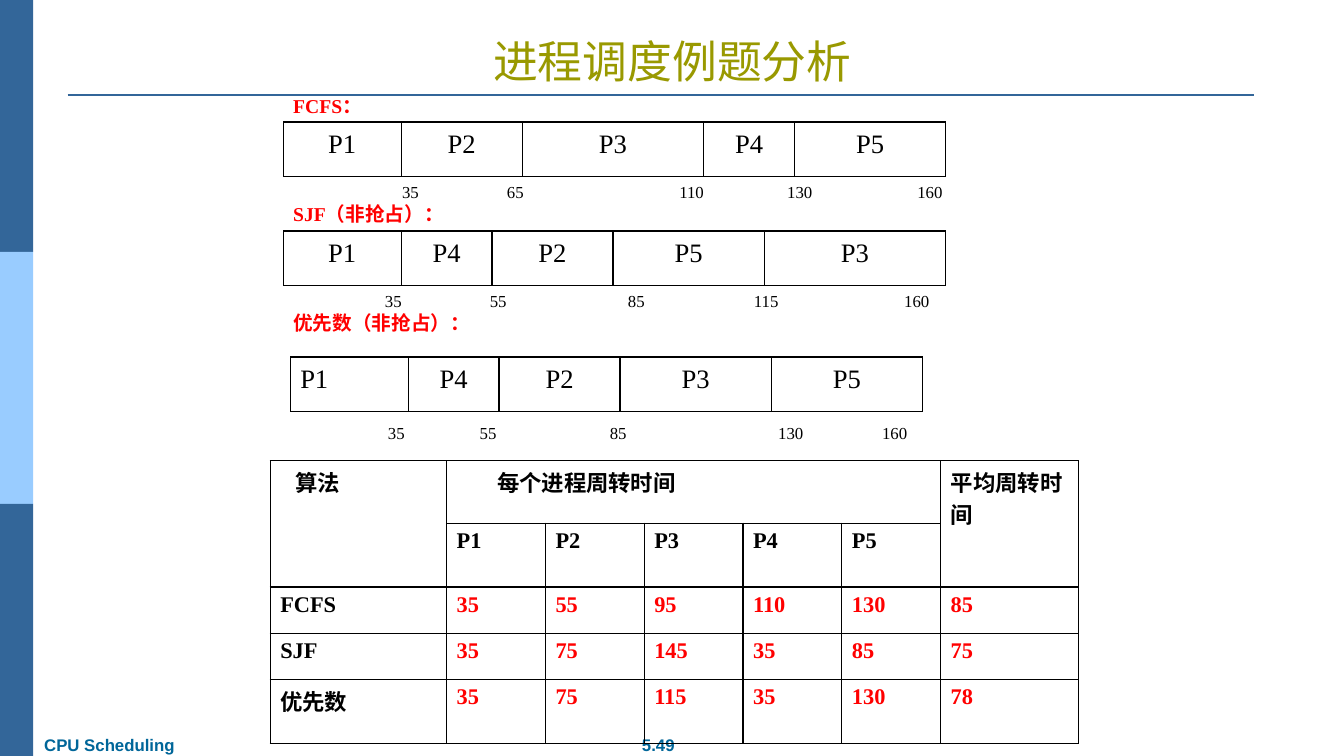
from dataclasses import dataclass
from itertools import accumulate

from lxml.etree import SubElement
from pptx import Presentation
from pptx.dml.color import RGBColor
from pptx.enum.shapes import MSO_CONNECTOR as CONN, MSO_SHAPE as SHAPE
from pptx.enum.text import MSO_ANCHOR as ANCHOR, PP_ALIGN as ALIGN
from pptx.oxml.ns import qn
from pptx.util import Inches, Length, Pt


@dataclass(frozen=True)
class Theme:
    serif: str = "Times New Roman"
    sans: str = "Arial"
    black: str = "000000"
    red: str = "FF0000"
    title: str = "999900"
    footer: str = "006699"
    dark: str = "336699"
    light: str = "99CCFF"
    title_size: int = 32
    process_size: int = 19
    table_size: int = 16
    label_size: int = 14
    small_size: int = 12


@dataclass(frozen=True)
class Gantt:
    left: float
    top: float
    processes: tuple[tuple[str, float], ...]
    ticks: tuple[tuple[int, float], ...]
    tick_top: float
    tick_width: float
    tick_height: float
    next_label: str = ""
    first_align: ALIGN = ALIGN.CENTER


T = Theme()
CELL = 0.1
BAR_ROWS = 5.4

CHARTS = (
    Gantt(28.1, 12.1, (("P1", 11.7), ("P2", 12), ("P3", 18), ("P4", 9), ("P5", 15)),
          ((35, 10.8), (65, 21.2), (110, 38.3), (130, 49), (160, 61.9)),
          17.5, 68.4, 5.4, "SJF（非抢占）："),
    Gantt(28.1, 22.9, (("P1", 11.7), ("P4", 9), ("P2", 12), ("P5", 15), ("P3", 18)),
          ((35, 9.1), (55, 19.5), (85, 33.2), (115, 45.7), (160, 60.6)),
          28.3, 65.6, 5.4, "优先数（非抢占）："),
    Gantt(28.8, 35.4, (("P1", 11.7), ("P4", 9), ("P2", 12), ("P3", 15), ("P5", 15)),
          ((35, 8.7), (55, 17.8), (85, 30.7), (130, 47.4), (160, 57.7)),
          41.4, 62.6, 3, first_align=ALIGN.LEFT),
)

TABLE_COLS = (17.5, 9.8, 9.8, 9.8, 9.8, 9.8, 13.7)
TABLE_ROWS = (6.2, 6.3, 4.6, 4.6, 6.3)
TABLE_TEXT = (
    ("算法", "每个进程周转时间", "", "", "", "", "平均周转时间"),
    ("", "P1", "P2", "P3", "P4", "P5", ""),
    ("FCFS", "35", "55", "95", "110", "130", "85"),
    ("SJF", "35", "75", "145", "35", "85", "75"),
    ("优先数", "35", "75", "115", "35", "130", "78"),
)
TABLE_INDENTS = {(0, 0): 1.5, (0, 1): 4}
TABLE_MERGES = (((0, 0), (1, 0)), ((0, 1), (0, 5)), ((0, 6), (1, 6)))


def grid(n: float) -> Length:
    return Inches(round(n * CELL, 3))


def rgb(color: str) -> RGBColor:
    return RGBColor.from_string(color)


def write(p, text: str, *, size: int, color: str = T.black, font: str = T.serif,
          bold: bool = False, align: ALIGN = ALIGN.LEFT) -> None:
    p.alignment = align
    r = p.add_run()
    r.text = text
    r.font.name, r.font.size, r.font.bold = font, Pt(size), bold
    r.font.color.rgb = rgb(color)


def add_box(slide, x: float, y: float, w: float, h: float,
            anchor: ANCHOR = ANCHOR.TOP):
    tf = slide.shapes.add_textbox(grid(x), grid(y), grid(w), grid(h)).text_frame
    tf.word_wrap = True
    tf.vertical_anchor = anchor
    return tf


def add_line(slide, x1: float, y1: float, x2: float, y2: float,
             color: str = T.black, width: float = 1) -> None:
    line = slide.shapes.add_connector(CONN.STRAIGHT, grid(x1), grid(y1), grid(x2), grid(y2))
    line.line.color.rgb = rgb(color)
    line.line.width = Pt(width)
    SubElement(line._element.spPr, qn("a:effectLst"))


def add_frame(slide) -> None:
    for i, color in enumerate((T.dark, T.light, T.dark)):
        sp = slide.shapes.add_shape(SHAPE.RECTANGLE, 0, grid(25 * i), grid(3.3), grid(25))
        sp.shadow.inherit = False
        sp.fill.solid()
        sp.fill.fore_color.rgb = rgb(color)
        sp.line.fill.background()
    add_line(slide, 6.7, 9.4, 124.4, 9.4, T.dark, 1.5)
    for text, x, w, align in (("5.49", 62, 6.6, ALIGN.CENTER),
                              ("CPU Scheduling", 3.4, 16.4, ALIGN.LEFT)):
        write(add_box(slide, x, 72.4, w, 3).paragraphs[0], text, size=T.small_size,
              color=T.footer, font=T.sans, bold=True, align=align)


def add_title(slide, text: str) -> None:
    sp = slide.shapes.title
    sp.left, sp.top, sp.width, sp.height = grid(6.7), grid(3), grid(120), grid(6.3)
    tf = sp.text_frame
    tf.vertical_anchor = ANCHOR.BOTTOM
    tf.margin_left = tf.margin_right = grid(1.2)
    tf.margin_top = tf.margin_bottom = grid(0.6)
    write(tf.paragraphs[0], text, size=T.title_size, color=T.title, align=ALIGN.CENTER)


def add_ticks(slide, chart: Gantt) -> None:
    tf = add_box(slide, chart.left, chart.tick_top, chart.tick_width,
                 chart.tick_height, ANCHOR.MIDDLE)
    p = tf.paragraphs[0]
    write(p, "".join(f"\t{time}" for time, _ in chart.ticks), size=T.small_size)
    tabs = SubElement(p._p.get_or_add_pPr(), qn("a:tabLst"))
    for _, x in chart.ticks:
        SubElement(tabs, qn("a:tab"), pos=str(grid(x)), algn="l")
    if chart.next_label:
        write(tf.add_paragraph(), chart.next_label, size=T.label_size,
              color=T.red, bold=True)


def add_gantt(slide, chart: Gantt) -> None:
    bottom = chart.top + BAR_ROWS
    edges = list(accumulate((w for _, w in chart.processes), initial=chart.left))
    for i, (name, width) in enumerate(chart.processes):
        tf = add_box(slide, edges[i], chart.top, width, BAR_ROWS)
        write(tf.paragraphs[0], name, size=T.process_size,
              align=ALIGN.CENTER if i else chart.first_align)
    for y in (chart.top, bottom):
        add_line(slide, edges[0], y, edges[-1], y)
    for x in edges:
        add_line(slide, x, chart.top, x, bottom)
    add_ticks(slide, chart)


def style_cell(cell) -> None:
    tcPr = cell._tc.get_or_add_tcPr()
    for side in ("lnL", "lnR", "lnT", "lnB"):
        ln = SubElement(tcPr, qn(f"a:{side}"), w=str(Pt(1)))
        SubElement(SubElement(ln, qn("a:solidFill")), qn("a:srgbClr"), val=T.black)
    cell.fill.background()


def add_turnaround_table(slide) -> None:
    table = slide.shapes.add_table(len(TABLE_ROWS), len(TABLE_COLS), grid(26.8), grid(45.7),
                                   grid(sum(TABLE_COLS)), grid(sum(TABLE_ROWS))).table
    table.first_row = table.horz_banding = False
    for column, width in zip(table.columns, TABLE_COLS):
        column.width = grid(width)
    for row, height in zip(table.rows, TABLE_ROWS):
        row.height = grid(height)
    for i, texts in enumerate(TABLE_TEXT):
        for j, text in enumerate(texts):
            cell = table.cell(i, j)
            style_cell(cell)
            p = cell.text_frame.paragraphs[0]
            if text:
                write(p, text, size=T.table_size, bold=True,
                      color=T.red if i > 1 and j else T.black)
            if (i, j) in TABLE_INDENTS:
                p._p.get_or_add_pPr().set("indent", str(grid(TABLE_INDENTS[i, j])))
    for start, end in TABLE_MERGES:
        table.cell(*start).merge(table.cell(*end))


def main() -> None:
    prs = Presentation()
    prs.slide_width, prs.slide_height = Inches(13.33), Inches(7.5)
    slide = prs.slides.add_slide(prs.slide_layouts[5])
    add_frame(slide)
    add_title(slide, "进程调度例题分析")
    write(add_box(slide, 28.1, 8.8, 12, 3.4, ANCHOR.MIDDLE).paragraphs[0], "FCFS：",
          size=T.label_size, color=T.red, bold=True)
    for chart in CHARTS:
        add_gantt(slide, chart)
    add_turnaround_table(slide)
    prs.save("out.pptx")


if __name__ == "__main__":
    main()
